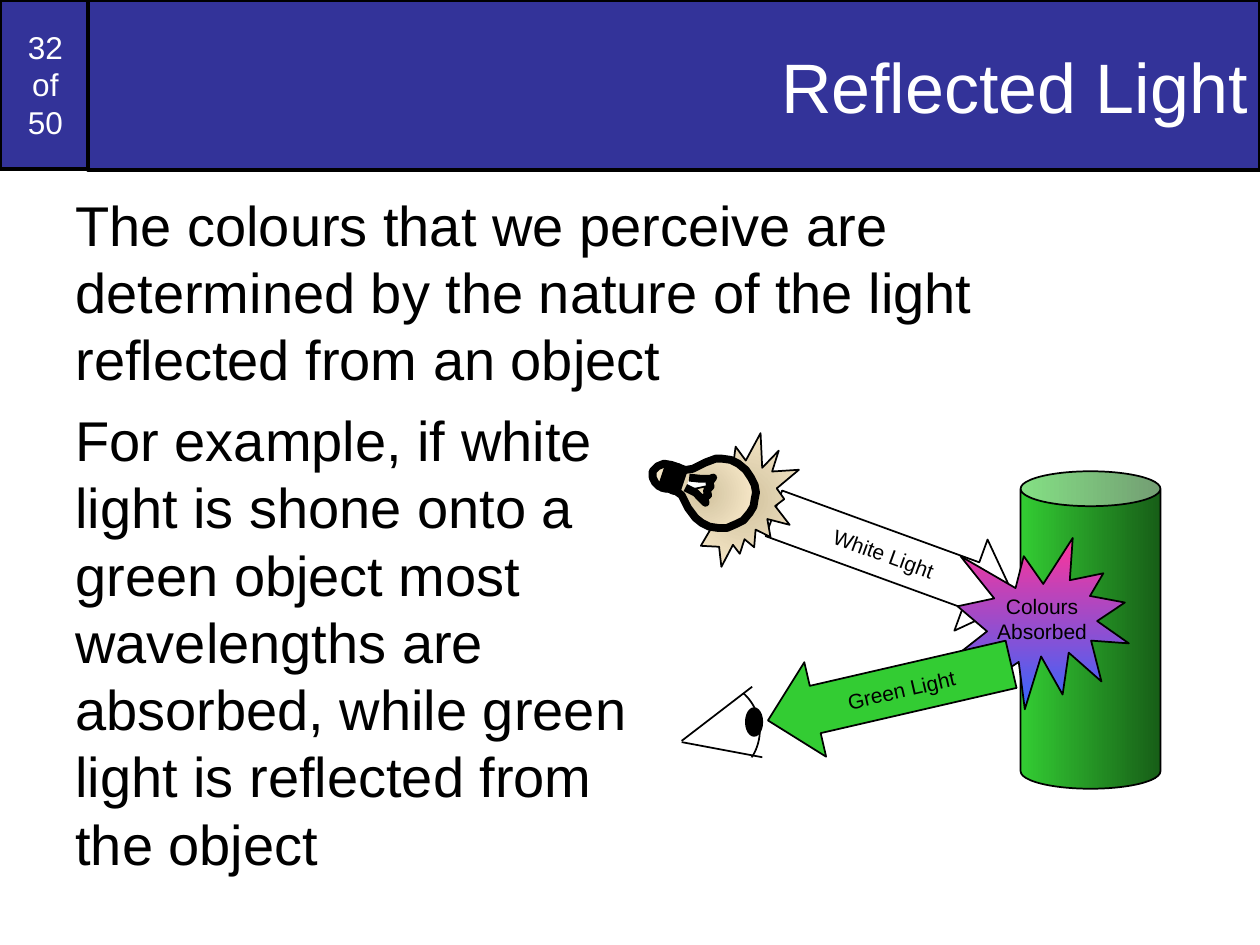
from dataclasses import dataclass
from typing import Optional

from lxml import etree
from pptx import Presentation
from pptx.dml.color import RGBColor
from pptx.enum.shapes import MSO_CONNECTOR, MSO_SHAPE
from pptx.enum.text import MSO_ANCHOR, PP_ALIGN
from pptx.oxml.ns import qn
from pptx.util import Pt

BLACK = RGBColor(0x00, 0x00, 0x00)
WHITE = RGBColor(0xFF, 0xFF, 0xFF)
NAVY = RGBColor(0x33, 0x33, 0x99)
GREEN = RGBColor(0x33, 0xCC, 0x33)
DARK_GREEN = RGBColor(0x17, 0x5E, 0x17)
PINK = RGBColor(0xFF, 0x33, 0x99)
BLUE = RGBColor(0x33, 0x66, 0xFF)
SAND = RGBColor(0xD1, 0xC3, 0x9F)
CREAM = RGBColor(0xFF, 0xEF, 0xD1)

RECTANGLE = MSO_SHAPE.RECTANGLE
OVAL = MSO_SHAPE.OVAL
CAN = MSO_SHAPE.CAN
RIGHT_ARROW = MSO_SHAPE.RIGHT_ARROW
LEFT_ARROW = MSO_SHAPE.LEFT_ARROW
BURST = MSO_SHAPE.EXPLOSION1
GLOW = MSO_SHAPE.EXPLOSION2
STRAIGHT = MSO_CONNECTOR.STRAIGHT
LEFT, CENTER, RIGHT = PP_ALIGN.LEFT, PP_ALIGN.CENTER, PP_ALIGN.RIGHT
TOP, MIDDLE = MSO_ANCHOR.TOP, MSO_ANCHOR.MIDDLE

FONT = "Arial"
BULB_UNIT = Pt(0.72)
BULB_GLASS = [
    (518, 374), (518, 379), (520, 383), (523, 386), (528, 387), (537, 390),
    (541, 393), (546, 403), (552, 411), (557, 415), (563, 418), (570, 419),
    (577, 419), (584, 416), (590, 413), (595, 407), (598, 402), (599, 396),
    (600, 391), (599, 385), (596, 379), (592, 373), (586, 368), (580, 365),
    (573, 364), (568, 364), (560, 367), (550, 372), (544, 373), (533, 369),
    (527, 368), (522, 370),
]
BULB_FILAMENT = [
    (547, 379), (556, 380), (564, 380), (566, 379), (563, 383), (564, 386),
    (561, 389), (562, 393), (559, 395), (560, 399), (552, 391), (544, 387),
]
BULB_THREAD = [
    (543, 372), (537, 390), (533, 389), (539, 371),
    (535, 370), (529, 388), (525, 387), (531, 369),
]


@dataclass
class Gradient:
    start: RGBColor
    end: RGBColor
    angle: Optional[int] = None


@dataclass
class Figure:
    kind: int
    left: float
    top: float
    width: float
    height: float
    fill: object = None
    line: float = 1
    turn: float = 0
    text: str = ""
    size: float = 12
    color: RGBColor = BLACK
    align: int = CENTER
    inset: Optional[float] = None


GLOW_FILL = Gradient(SAND, CREAM)

HEADER = [
    Figure(RECTANGLE, 0, 0, 51.84, 96.48, NAVY, 2, text="32\vof\v50", size=18, color=WHITE),
    Figure(RECTANGLE, 50.4, 0, 669.6, 97.2, NAVY, 2, text="Reflected Light", size=40,
           color=WHITE, align=RIGHT),
]
BODY = [
    "The colours that we perceive are determined by the nature of the light "
    "reflected from an object",
    "For example, if white \vlight is shone onto a \vgreen object most \vwavelengths are \v"
    "absorbed, while green \vlight is reflected from \vthe object",
]
LIGHT_PATH = [
    Figure(CAN, 583.2, 269.28, 79.92, 181.44, Gradient(GREEN, DARK_GREEN, 0)),
    Figure(RIGHT_ARROW, 437.76, 290.88, 147.6, 55.44, WHITE, turn=20, text="White Light"),
    Figure(BURST, 547.2, 307.44, 97.92, 97.92, Gradient(PINK, BLUE, 270),
           text="Colours Absorbed", inset=0),
    Figure(LEFT_ARROW, 437.04, 367.92, 142.56, 55.44, GREEN, turn=347, text="Green Light"),
    Figure(GLOW, 394.56, 248.4, 63.36, 74.16, GLOW_FILL, turn=355),
]
EYEBALL = [
    Figure(OVAL, 377.28, 388.8, 56.88, 56.88),
    Figure(RECTANGLE, 354.24, 427.68, 89.28, 28.8, WHITE, 0, turn=10),
    Figure(RECTANGLE, 358.56, 379.44, 89.28, 28.8, WHITE, 0, turn=324),
]
EYELIDS = [(389.52, 423.36, 429.84, 392.4), (389.52, 424.08, 435.6, 432.72)]
PUPIL = Figure(OVAL, 426.24, 404.64, 9.36, 15.84, BLACK)


def write_text(frame, texts: list[str], *, size: float, color: RGBColor = BLACK,
               align: int = LEFT, anchor: int = TOP, space: float = 0,
               inset: Optional[float] = None) -> None:
    frame.word_wrap = True
    frame.vertical_anchor = anchor
    if inset is not None:
        frame.margin_left = frame.margin_right = Pt(inset)
        frame.margin_top = frame.margin_bottom = Pt(inset)
    for index, text in enumerate(texts):
        para = frame.add_paragraph() if index else frame.paragraphs[0]
        para.text = text
        para.alignment = align
        para.space_before = Pt(space if index else 0)
        for span in para.runs:
            span.font.name = FONT
            span.font.size = Pt(size)
            span.font.color.rgb = color


def paint(shape, fill, line: float) -> None:
    shape.shadow.inherit = False
    if isinstance(fill, Gradient):
        shape.fill.gradient()
        for stop, color, position in zip(shape.fill.gradient_stops, (fill.start, fill.end), (0, 1)):
            stop.color.rgb = color
            stop.position = position
        if fill.angle is None:
            gradient = shape.element.spPr.find(qn("a:gradFill"))
            gradient.remove(gradient.find(qn("a:lin")))
            circle = etree.SubElement(gradient, qn("a:path"), {"path": "circle"})
            sides = dict.fromkeys("ltrb", "50000")
            etree.SubElement(circle, qn("a:fillToRect"), sides)
        else:
            shape.fill.gradient_angle = fill.angle
    elif fill is None:
        shape.fill.background()
    else:
        shape.fill.solid()
        shape.fill.fore_color.rgb = fill
    if line:
        shape.line.color.rgb = BLACK
        shape.line.width = Pt(line)
    else:
        shape.line.fill.background()


def draw_figure(page, figure: Figure) -> None:
    shape = page.shapes.add_shape(figure.kind, Pt(figure.left), Pt(figure.top),
                                  Pt(figure.width), Pt(figure.height))
    shape.rotation = figure.turn
    paint(shape, figure.fill, figure.line)
    if figure.text:
        write_text(shape.text_frame, [figure.text], size=figure.size, color=figure.color,
                   align=figure.align, anchor=MIDDLE, inset=figure.inset)


def draw_bulb(page) -> None:
    builder = page.shapes.build_freeform(*BULB_GLASS[0], scale=BULB_UNIT)
    builder.add_line_segments(BULB_GLASS[1:], close=True)
    for stroke in (BULB_FILAMENT, BULB_THREAD):
        builder.move_to(*stroke[0])
        builder.add_line_segments(stroke[1:], close=False)
    paint(builder.convert_to_shape(), GLOW_FILL, 4.5)


def draw_line(page, ends: tuple[float, float, float, float]) -> None:
    line = page.shapes.add_connector(STRAIGHT, *map(Pt, ends))
    line.line.color.rgb = BLACK
    line.line.width = Pt(1)
    etree.SubElement(line.element.spPr, qn("a:effectLst"))


def main() -> None:
    deck = Presentation()
    deck.slide_width, deck.slide_height = Pt(720), Pt(540)
    page = deck.slides.add_slide(deck.slide_layouts[6])
    for figure in HEADER:
        draw_figure(page, figure)
    box = page.shapes.add_textbox(Pt(36), Pt(105.12), Pt(648), Pt(434.88))
    write_text(box.text_frame, BODY, size=32, space=8)
    for figure in LIGHT_PATH:
        draw_figure(page, figure)
    draw_bulb(page)
    for figure in EYEBALL:
        draw_figure(page, figure)
    for ends in EYELIDS:
        draw_line(page, ends)
    draw_figure(page, PUPIL)
    deck.save("out.pptx")


if __name__ == "__main__":
    main()
